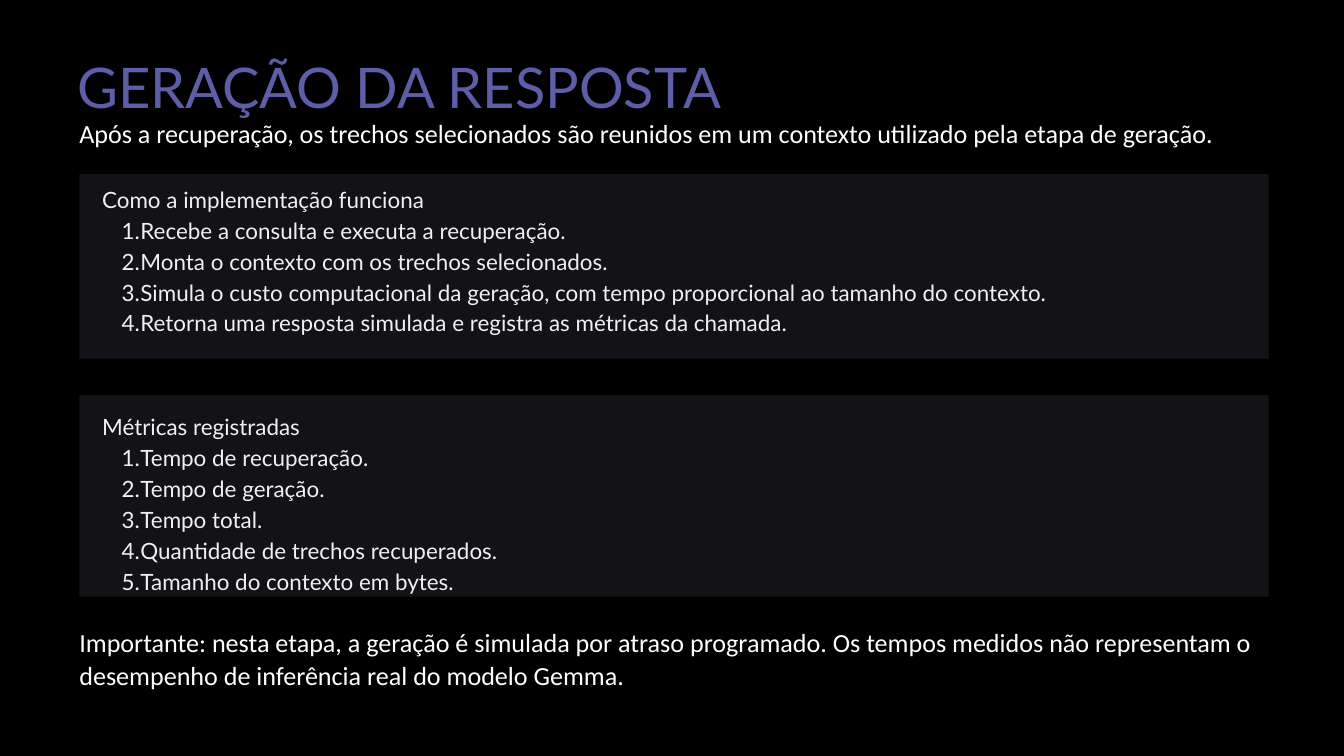
import pptx
import pptx.dml.color
import pptx.enum.shapes
import pptx.enum.text
import pptx.oxml.ns
import pptx.util
from lxml import etree

Cm = pptx.util.Cm
Pt = pptx.util.Pt
RGBColor = pptx.dml.color.RGBColor

BLACK = RGBColor(0x00, 0x00, 0x00)
WHITE = RGBColor(0xFF, 0xFF, 0xFF)
PURPLE = RGBColor(0x5D, 0x5D, 0xA8)
PANEL = RGBColor(0x13, 0x13, 0x17)
PALE = RGBColor(0xF0, 0xF0, 0xF3)

LEFT, WIDTH = 3, 44.95
PANEL_TEXT_LEFT = 3.86

STEPS = [
    "Recebe a consulta e executa a recuperação.",
    "Monta o contexto com os trechos selecionados.",
    "Simula o custo computacional da geração, com tempo proporcional ao tamanho do contexto.",
    "Retorna uma resposta simulada e registra as métricas da chamada.",
]
METRICS = [
    "Tempo de recuperação.",
    "Tempo de geração.",
    "Tempo total.",
    "Quantidade de trechos recuperados.",
    "Tamanho do contexto em bytes.",
]


def write(paragraph, text, *, font, size, color, spacing, numbered=False):
    paragraph.alignment = pptx.enum.text.PP_ALIGN.LEFT
    paragraph.line_spacing = Pt(spacing)
    if numbered:
        paragraph.level = 1
        properties = paragraph._p.get_or_add_pPr()
        properties.set("marL", str(Cm(1.45)))
        properties.set("indent", str(Cm(-0.71)))
        number = etree.SubElement(properties, pptx.oxml.ns.qn("a:buAutoNum"))
        number.set("type", "arabicPeriod")
    span = paragraph.add_run()
    span.text = text
    span.font.name = font
    span.font.size = Pt(size)
    span.font.color.rgb = color


class Page:
    """Holds the style and the current slide."""

    title_style = dict(font="Lato", size=60, color=PURPLE, spacing=65.5)
    body_style = dict(font="Calibri", size=28, color=WHITE, spacing=35)
    panel_style = dict(font="Lato", size=24, color=PALE, spacing=33.1)

    def __init__(self, deck):
        self.slide = deck.slides.add_slide(deck.slide_layouts[5])
        self.slide.background.fill.solid()
        self.slide.background.fill.fore_color.rgb = BLACK

    def prepare(self, box):
        """Clear margins and return the text frame, anchored at the top."""
        frame = box.text_frame
        frame.margin_left = frame.margin_right = 0
        frame.margin_top = frame.margin_bottom = 0
        frame.word_wrap = True
        frame.auto_size = pptx.enum.text.MSO_AUTO_SIZE.NONE
        frame.vertical_anchor = pptx.enum.text.MSO_ANCHOR.TOP
        return frame

    def title(self, text):
        box = self.slide.shapes.title
        box.left, box.top, box.width, box.height = Cm(2.92), Cm(2.21), Cm(WIDTH), Cm(2.34)
        write(self.prepare(box).paragraphs[0], text, **self.title_style)

    def text_box(self, left, top, height):
        box = self.slide.shapes.add_textbox(Cm(left), Cm(top), Cm(WIDTH), Cm(height))
        return self.prepare(box)

    def body(self, text, top, height):
        frame = self.text_box(LEFT, top, height)
        write(frame.paragraphs[0], text, **self.body_style)

    def panel(self, heading, items, top, height, padding):
        """Draw a filled panel with a heading over a numbered list."""
        panel = self.slide.shapes.add_shape(
            pptx.enum.shapes.MSO_SHAPE.RECTANGLE, Cm(LEFT), Cm(top), Cm(WIDTH), Cm(height))
        panel.shadow.inherit = False
        panel.fill.solid()
        panel.fill.fore_color.rgb = PANEL
        panel.line.fill.background()
        frame = self.text_box(PANEL_TEXT_LEFT, top + padding, height - padding)
        write(frame.paragraphs[0], heading, **self.panel_style)
        for item in items:
            write(frame.add_paragraph(), item, numbered=True, **self.panel_style)


def main():
    deck = pptx.Presentation()
    deck.slide_width, deck.slide_height = Cm(50.8), Cm(28.58)
    page = Page(deck)
    page.title("GERAÇÃO DA RESPOSTA")
    page.body("Após a recuperação, os trechos selecionados são reunidos em um contexto "
              "utilizado pela etapa de geração.", top=4.38, height=1.3)
    page.panel("Como a implementação funciona", STEPS, top=6.58, height=6.98, padding=0.3)
    page.panel("Métricas registradas", METRICS, top=14.94, height=7.62, padding=0.53)
    page.body("Importante: nesta etapa, a geração é simulada por atraso programado. "
              "Os tempos medidos não representam o desempenho de inferência real "
              "do modelo Gemma.", top=23.65, height=2.59)
    deck.save("out.pptx")


if __name__ == "__main__":
    main()
